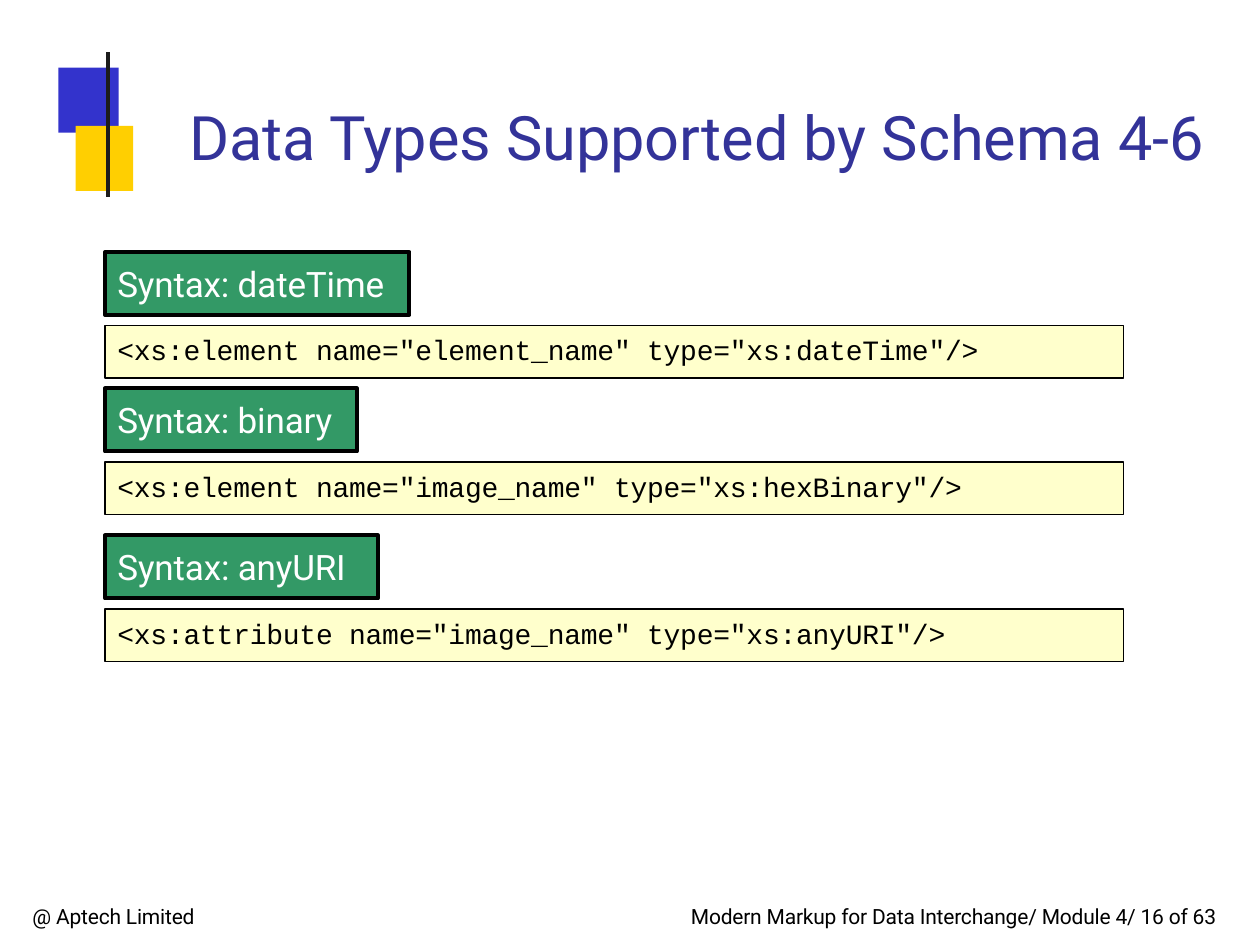
from lxml import etree
from pptx import Presentation, util as u
from pptx.dml.color import RGBColor
from pptx.enum import shapes, text
from pptx.oxml.ns import qn

WHITE = RGBColor(0xFF, 0xFF, 0xFF)
BLACK = RGBColor(0x00, 0x00, 0x00)
CHARCOAL = RGBColor(0x1C, 0x1C, 0x1C)
BLUE = RGBColor(0x33, 0x33, 0xCC)
YELLOW = RGBColor(0xFF, 0xCF, 0x01)
NAVY = RGBColor(0x33, 0x33, 0x99)
GREEN = RGBColor(0x33, 0x99, 0x66)
CREAM = RGBColor(0xFF, 0xFF, 0xCC)

# Grid of 120 columns by 90 rows
prs = Presentation()
prs.slide_width, prs.slide_height = u.Inches(10), u.Inches(7.5)
COL, ROW = prs.slide_width / 120, prs.slide_height / 90
slide = prs.slides.add_slide(prs.slide_layouts[6])


def grid(col, row, cols, rows):
    return [round(n) for n in (col * COL, row * ROW, cols * COL, rows * ROW)]


def write(holder, words, font="Roboto", size=12, color=BLACK, left=0, top=0.02,
          spacing=-0.1, wrap=True):
    frame = holder.text_frame
    frame.word_wrap = wrap
    frame.vertical_anchor = text.MSO_ANCHOR.TOP
    frame.margin_left, frame.margin_top = u.Inches(left), u.Inches(top)
    frame.margin_right = frame.margin_bottom = 0
    paragraph = frame.paragraphs[0]
    paragraph.alignment = text.PP_ALIGN.LEFT
    run = paragraph.add_run()
    run.text = words
    run.font.name, run.font.size = font, u.Pt(size)
    run.font.color.rgb = color
    run.font._element.set("spc", str(round(spacing * 100)))


# Corner ornament: two overlapping blocks and a vertical rule
for area, color in (((5.55, 6.45, 5.75, 6.2), BLUE), ((7.2, 12, 5.5, 6.2), YELLOW)):
    block = slide.shapes.add_shape(shapes.MSO_SHAPE.RECTANGLE, *grid(*area))
    block.shadow.inherit = False
    block.fill.solid()
    block.fill.fore_color.rgb = color
    block.line.fill.background()

rule_x, rule_top, _, rule_height = grid(10.3, 5, 0, 13.8)
rule = slide.shapes.add_connector(
    shapes.MSO_CONNECTOR.STRAIGHT, rule_x, rule_top, rule_x, rule_top + rule_height)
rule.line.color.rgb = CHARCOAL
rule.line.width = u.Pt(2.52)
etree.SubElement(rule._element.spPr, qn("a:effectLst"))

# Title
title = slide.shapes.add_textbox(*grid(18, 9.25, 97.8, 7.3))
write(title, "Data Types Supported by Schema 4-6", size=35, color=NAVY,
      spacing=-0.05, wrap=False)

# Footer
for col, cols, words in (
        (3.1, 15.8, "@ Aptech Limited"),
        (65.8, 51.5, "Modern Markup for Data Interchange/ Module 4/ 16 of 63")):
    footer = slide.shapes.add_textbox(*grid(col, 85.8, cols, 2.8))
    write(footer, words, wrap=False)

# Syntax blocks: a green heading with its code line below
syntaxes = (
    (24, 29, "dateTime", '<xs:element name="element_name" type="xs:dateTime"/>'),
    (37, 24, "binary", '<xs:element name="image_name" type="xs:hexBinary"/>'),
    (51, 26, "anyURI", '<xs:attribute name="image_name" type="xs:anyURI"/>'),
)
for row, heading_cols, data_type, code in syntaxes:
    for area, fill, border, words, style in (
            ((10, row + 7, 97, 5), CREAM, 0.72, code,
             dict(font="Courier New", size=16, top=0.06)),
            ((10, row, heading_cols, 6), GREEN, 2.28, f"Syntax: {data_type}",
             dict(size=20, color=WHITE, top=0.08))):
        panel = slide.shapes.add_shape(shapes.MSO_SHAPE.RECTANGLE, *grid(*area))
        panel.shadow.inherit = False
        panel.fill.solid()
        panel.fill.fore_color.rgb = fill
        panel.line.color.rgb = BLACK
        panel.line.width = u.Pt(border)
        write(panel, words, left=0.1, **style)

prs.save("out.pptx")
